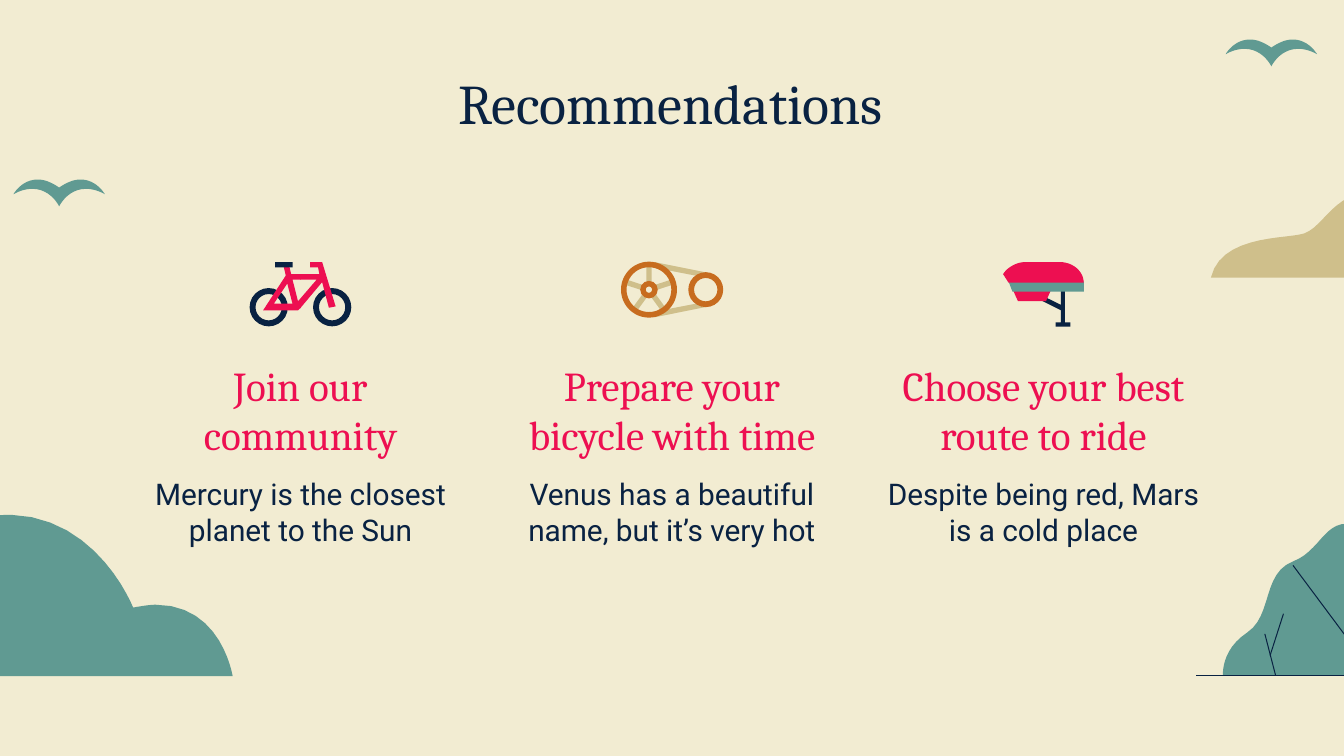
from copy import deepcopy
from math import cos, radians, sin

from lxml.etree import SubElement
from pptx import Presentation
from pptx.dml.color import RGBColor
from pptx.enum.shapes import MSO_CONNECTOR, MSO_SHAPE
from pptx.enum.text import MSO_ANCHOR, MSO_AUTO_SIZE, PP_ALIGN
from pptx.oxml.ns import qn
from pptx.util import Pt

CREAM, TEAL, SAND = "F2ECD2", "609A92", "CFBF8B"
NAVY, PINK, ORANGE = "092242", "ED0F51", "C76C1F"
COLUMN_WIDTH, COLUMN_PITCH, FIRST_COLUMN = 185, 199, 68.5
ICON_TOP = 140.4
CURVE_STEPS = 12


def color(value):
    return RGBColor.from_string(value)


def paint(shape, fill):
    shape.shadow.inherit = False
    shape.fill.solid()
    shape.fill.fore_color.rgb = color(fill)
    shape.line.fill.background()


def trace(contour):
    """Turn points (x, y) and cubic curves (two controls, end) into corner points."""
    points = [contour[0]]
    for step in contour[1:]:
        if len(step) == 2:
            points.append(step)
            continue
        corners = [points[-1], step[:2], step[2:4], step[4:]]
        for index in range(1, CURVE_STEPS + 1):
            t = index / CURVE_STEPS
            weights = ((1 - t) ** 3, 3 * t * (1 - t) ** 2, 3 * t * t * (1 - t), t ** 3)
            points.append(tuple(sum(weight * corner[axis] for weight, corner in zip(weights, corners))
                                for axis in (0, 1)))
    return points


def add_outline(slide, left, top, fill, *contours):
    builder = None
    for contour in contours:
        points = [(Pt(left + x), Pt(top + y)) for x, y in trace(contour)]
        if builder is None:
            builder = slide.shapes.build_freeform(*points[0], scale=1.0)
        else:
            builder.move_to(*points[0])
        builder.add_line_segments(points[1:], close=True)
    paint(builder.convert_to_shape(), fill)


def add_bar(slide, left, top, width, height, fill, rotation=0):
    bar = slide.shapes.add_shape(MSO_SHAPE.RECTANGLE, Pt(left), Pt(top), Pt(width), Pt(height))
    bar.rotation = rotation
    paint(bar, fill)


def add_ring(slide, center_x, center_y, size, thickness, fill):
    ring = slide.shapes.add_shape(MSO_SHAPE.DONUT, Pt(center_x - size / 2), Pt(center_y - size / 2),
                                  Pt(size), Pt(size))
    ring.adjustments[0] = thickness / size
    paint(ring, fill)


def add_line(slide, left, top, start, end):
    line = slide.shapes.add_connector(MSO_CONNECTOR.STRAIGHT, Pt(left + start[0]), Pt(top + start[1]),
                                      Pt(left + end[0]), Pt(top + end[1]))
    line.line.color.rgb = color(NAVY)
    line.line.width = Pt(0.54)
    SubElement(line._element.spPr, qn("a:effectLst"))


def add_bush(slide, left, top):
    add_outline(slide, left, top, TEAL, [
        (129.6, 0), (84.2, 0, 66.2, 36.7, 66.2, 36.7), (66.2, 36.7, 3.6, 38.2, 0, 86.4),
        (250.6, 86.4), (250.6, 86.4, 244.8, 48.2, 209.5, 48.2),
        (205.9, 48.2, 201.6, 49, 197.3, 49.7), (197.3, 49.7, 178.6, 1.4, 131.8, 0)])


def add_hill(slide, left, top):
    add_outline(slide, left, top, SAND, [
        (85, 0), (82.1, 0), (64.1, 2.2, 59, 20.9, 47.5, 22.3), (36, 24.5, 5, 23.8, 0, 45.4),
        (144, 45.4), (144, 45.4, 139.7, 27.4, 121.7, 23), (104.4, 18.7, 100.8, 0, 85, 0)])


def add_bird(slide, left, top):
    add_outline(slide, left, top, TEAL, [
        (13, 0), (4.3, 0, 0, 7.9, 0, 7.9), (3.6, 5.8, 7.2, 5, 10.1, 5),
        (20.2, 5, 24.5, 14.4, 24.5, 14.4), (24.5, 14.4, 28.8, 5, 38.9, 5),
        (41.8, 5, 45.4, 5.8, 49, 7.9), (49, 7.9, 44.6, 0, 36, 0),
        (32.4, 0, 28.8, 1.4, 24.5, 4.3), (20.2, 1.4, 16.6, 0, 13, 0)])


def add_rock(slide, left, top):
    add_outline(slide, left, top, TEAL, [
        (67.7, 0), (55.4, 0, 52.6, 15.1, 38.9, 20.2), (22.3, 26.6, 28.1, 49, 14.4, 58.3),
        (0, 67.7, 1.4, 81.4, 1.4, 81.4), (134.6, 81.4), (134.6, 81.4, 132.5, 56.2, 115.2, 43.9),
        (97.9, 32.4, 103.7, 18, 80.6, 4.3), (74.9, 1.4, 71.3, 0, 67.7, 0)])
    cracks_and_ground = [((38.9, 22.3), (68.4, 61.9)), ((23.8, 59), (29.5, 81)),
                         ((33.8, 48.2), (26.6, 70.6)), ((-13, 81.4), (146.9, 81.4))]
    for start, end in cracks_and_ground:
        add_line(slide, left, top, start, end)


def add_bicycle(slide, center, top):
    left = center - 27.3
    for wheel_center in (10.25, 44.25):
        add_ring(slide, left + wheel_center, top + 24.2, 20.5, 3.2, NAVY)
    add_outline(slide, left, top, PINK, [
        (32.4, 0), (32.4, 2.9), (36.7, 2.9), (37.4, 6.5), (27.4, 6.5), (25.9, 7.9), (27.4, 9.4),
        (36, 9.4), (27.4, 19.4), (25.9, 22.3), (27.4, 24.5), (38.9, 10.8), (42.5, 24.5),
        (46.1, 23.8), (38.9, 0)])
    add_outline(slide, left, top, PINK, [(20.2, 11.5), (23, 22.3), (13, 22.3)], [
        (20.9, 0.7), (18, 1.4), (19.4, 7.2), (7.2, 25.9), (25.9, 25.9), (27.4, 24.5),
        (27.4, 19.4), (25.9, 20.9), (23, 9.4), (27.4, 9.4), (27.4, 6.5), (22.3, 6.5)])
    add_bar(slide, left + 13.7, top, 9.4, 2.9, NAVY)


def add_chain(slide, center, top):
    left, middle = center - 27.3, 14.8
    for angle in range(0, 360, 72):
        spoke_x = left + 15 + 8 * sin(radians(angle))
        spoke_y = top + middle - 8 * cos(radians(angle))
        add_bar(slide, spoke_x - 1.45, spoke_y - 5, 2.9, 10, SAND, angle)
    belt = [(18, 0), (17.3, 2.9), (46.8, 8.6), (46.8, 5.8)]
    add_outline(slide, left, top, SAND, belt)
    add_outline(slide, left, top, SAND, [(x, 2 * middle - y) for x, y in belt])
    for ring_x, size, thickness in ((15, 30, 3), (45.4, 18.7, 3.1), (15, 9.4, 3)):
        add_ring(slide, left + ring_x, top + middle, size, thickness, ORANGE)


def add_saddle(slide, center, top):
    left = center - 21.6
    add_outline(slide, left, top, NAVY, [
        (31, 12.2), (31, 23), (19.4, 17.3), (18, 19.4), (31, 25.9), (31, 32.4), (28.1, 32.4),
        (28.1, 34.6), (36, 34.6), (36, 32.4), (33.1, 32.4), (33.1, 12.2)])
    add_outline(slide, left, top, PINK, [(5, 14.4), (7.9, 20.9), (23, 20.9), (25.9, 14.4)])
    add_outline(slide, left, top, TEAL, [
        (2.9, 10.4), (5, 15.8), (43.2, 15.8), (43.2, 10.4)])
    add_outline(slide, left, top, PINK, [
        (12.2, 0), (7.2, 0, 2.2, 2.9, 0, 6.5), (2.9, 11), (43.2, 11),
        (43.2, 5, 37.4, 0, 30.2, 0)])


def fill_placeholder(placeholder, box, text, **font_format):
    placeholder.left, placeholder.top, placeholder.width, placeholder.height = map(Pt, box)
    frame = placeholder.text_frame
    frame_format = {"word_wrap": True, "auto_size": MSO_AUTO_SIZE.NONE,
                    "vertical_anchor": MSO_ANCHOR.TOP}
    frame_format.update({f"margin_{side}": Pt(7.2) for side in ("left", "top", "right", "bottom")})
    for name, value in frame_format.items():
        setattr(frame, name, value)
    frame.text = text
    paragraph = frame.paragraphs[0]
    paragraph.alignment = PP_ALIGN.CENTER
    paragraph.space_before = Pt(0)
    font_format = {"bold": False, **font_format}
    font_color = font_format.pop("color")
    for name, value in font_format.items():
        setattr(paragraph.runs[0].font, name, value)
    paragraph.runs[0].font.color.rgb = color(font_color)


def add_column(slide, left, placeholders, heading, body, add_icon):
    add_icon(slide, left + COLUMN_WIDTH / 2, ICON_TOP)
    fill_placeholder(placeholders[0], (left, 185.8, COLUMN_WIDTH, 62.6), heading,
                     name="Cambria", size=Pt(22), color=PINK)
    fill_placeholder(placeholders[1], (left, 247.7, COLUMN_WIDTH, 45.4), body,
                     name="Roboto", size=Pt(16), color=NAVY)


def prepare_layout(presentation, text_count):
    """Give the comparison layout a title and text_count plain text placeholders."""
    layout = presentation.slide_layouts[4]
    bodies = [shape for shape in layout.placeholders if 1 <= shape.placeholder_format.idx <= 4]
    pattern = deepcopy(bodies[0]._element)
    for shape in bodies:
        shape._element.getparent().remove(shape._element)
    for number in range(20, 20 + text_count):
        element = deepcopy(pattern)
        element.ph.set("idx", str(number))
        element.nvSpPr.cNvPr.set("id", str(number))
        layout.shapes._spTree.append(element)
    return layout


def main():
    columns = [
        ("Join our community", "Mercury is the closest planet to the Sun", add_bicycle),
        ("Prepare your bicycle with time", "Venus has a beautiful name, but it’s very hot", add_chain),
        ("Choose your best route to ride", "Despite being red, Mars is a cold place", add_saddle)]
    presentation = Presentation()
    presentation.slide_width, presentation.slide_height = Pt(720), Pt(405)
    slide = presentation.slides.add_slide(prepare_layout(presentation, 2 * len(columns)))
    slide.background.fill.solid()
    slide.background.fill.fore_color.rgb = color(CREAM)
    title, *texts = slide.placeholders

    add_bush(slide, -126, 275.8)
    add_hill(slide, 648.7, 103.4)
    add_bird(slide, 656.6, 21.2)
    add_bird(slide, 7.2, 96.2)
    add_rock(slide, 653.8, 280.6)
    fill_placeholder(title, (56.2, 29.5, 606.2, 37.4), "Recommendations",
                     name="Cambria", size=Pt(30), color=NAVY)
    for index, column in enumerate(columns):
        add_column(slide, FIRST_COLUMN + index * COLUMN_PITCH, texts[2 * index:2 * index + 2], *column)
    presentation.save("out.pptx")


if __name__ == "__main__":
    main()
